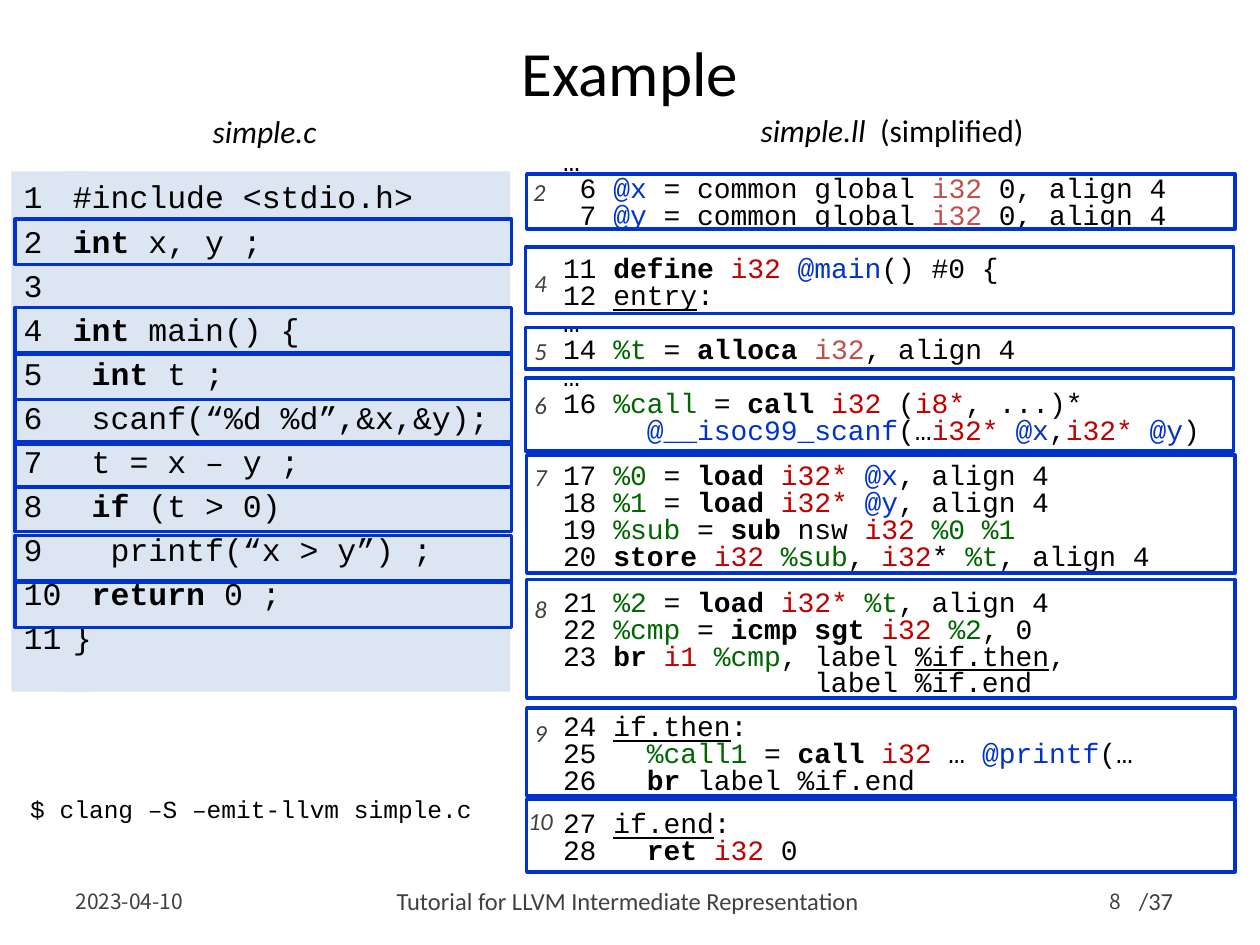
from pptx import Presentation
from pptx.dml import color
from pptx.enum import shapes, text
from pptx.util import Inches, Pt

SANS, MONO, DATE = "Calibri", "Courier New", "Noto Sans CJK KR"
BLACK, GREY, WHITE, PALE, BLUE = "000000", "404040", "FFFFFF", "DCE6F2", "0033CC"
ALIGN = {"l": text.PP_ALIGN.LEFT, "c": text.PP_ALIGN.CENTER, "r": text.PP_ALIGN.RIGHT}

# Marks: |b...| bold, |u...| underlined, |i...| italic, other letters a colour
HUES = {"r": "C00000", "o": "C0504D", "n": BLUE, "g": "006600"}

C_CODE = [
    "#include <stdio.h>",
    "|bint| x, y ;",
    "|bint| main() {",
    "|b int| t ;",
    " scanf(“%d %d”,&x,&y);",
    " t = x – y ;",
    " |bif| (t > 0)",
    "  printf(“x > y”) ;",
    " |breturn| 0 ;",
    "}",
]
C_GAPS = {2: 28.7}  # line 3 of the program is empty

IR_CODE = [
    "…",
    " 6 |n@x| = common global |oi32| 0, align 4",
    " 7 |n@y| = common global |oi32| 0, align 4",
    "11 |bdefine ||ri32 ||n@main|() #0 {",
    "12 |uentry|:",
    "…",
    "14 |g%t| = |balloca ||oi32|, align 4",
    "…",
    "16 |g%call| = |bcall ||ri32| (|ri8*|, ...)*",
    "     |n@__isoc99_scanf|(…|ri32* ||n@x|,|ri32* ||n@y|)",
    "17 |g%0| = |bload ||ri32* ||n@x|, align 4",
    "18| g%1| = |bload ||ri32* ||n@y|, align 4".replace("| g", " |g"),
    "19 |g%sub| = |bsub |nsw |ri32||g %0 %1|",
    "20 |bstore ||ri32 ||g%sub|, |ri32|* |g%t|, align 4",
    "21 |g%2| = |bload ||ri32* ||g%t|, align 4",
    "22 |g%cmp| = |bicmp sgt ||ri32 ||g%2|, 0",
    "23 |bbr ||ri1 ||g%cmp|, label |u%if.then|,",
    "               label |u%if.end|",
    "24 |uif.then|:",
    "25   |g%call1| = |bcall ||ri32| … |n@printf|(…",
    "26   |bbr| label |u%if.end|",
    "27 |uif.end|:",
    "28   |bret ||ri32| 0",
]
IR_GAPS = {3: 15.3, 10: 10.8, 14: 10.8, 18: 9.5, 21: 9.5}

C_TOPS = [1.74, 2.44, 2.81, 3.17, 3.51, 3.86, 4.25, 4.62]
# C line, frame left, top, height, label left, label top
IR_PARTS = [
    ("2", 4.18, 1.38, 0.44, 4.13, 1.42),
    ("4", 4.17, 1.96, 0.53, 4.14, 2.14),
    ("5", 4.17, 2.6, 0.33, 4.14, 2.68),
    ("6", 4.17, 3, 0.58, 4.14, 3.11),
    ("7", 4.18, 3.61, 0.94, 4.14, 3.68),
    ("8", 4.18, 4.6, 0.94, 4.14, 4.73),
    ("9", 4.18, 5.62, 0.7, 4.14, 5.71),
    ("10", 4.18, 6.34, 0.58, 4.14, 6.41),
]


def rgb(value):
    return color.RGBColor.from_string(value)


def add_rect(slide, box, fill=None, line=None):
    rect = slide.shapes.add_shape(shapes.MSO_SHAPE.RECTANGLE, *map(Inches, box))
    rect.shadow.inherit = False
    if fill:
        rect.fill.solid()
        rect.fill.fore_color.rgb = rgb(fill)
    else:
        rect.fill.background()
    if line:
        rect.line.color.rgb = rgb(line)
        rect.line.width = Pt(2)
    else:
        rect.line.fill.background()
    return rect


def add_runs(para, line, size, font, hue):
    """Split a line at its marks and add one run for each piece."""
    for n, part in enumerate(line.split("|")):
        mark, part = (part[0], part[1:]) if n % 2 else ("", part)
        if not part:
            continue
        run = para.add_run()
        run.text = part
        face = run.font
        face.name, face.size = font, Pt(size)
        face.color.rgb = rgb(HUES.get(mark, hue))
        face.bold = mark == "b"
        face.italic = mark == "i"
        face.underline = mark == "u"


def add_text(slide, box, lines, size=14, font=SANS, hue=BLACK, align="l",
             mid=False, fill=None, gap=0, gaps={}, lead=None, side=0.1):
    """Write lines in a box; gaps gives the space before single lines."""
    if fill:
        shape = add_rect(slide, box, fill)
    else:
        shape = slide.shapes.add_textbox(*map(Inches, box))
    frame = shape.text_frame
    frame.word_wrap = True
    frame.margin_left = frame.margin_right = Inches(side)
    frame.vertical_anchor = text.MSO_ANCHOR.MIDDLE if mid else text.MSO_ANCHOR.TOP
    for n, line in enumerate(lines):
        para = frame.add_paragraph() if n else frame.paragraphs[0]
        para.alignment = ALIGN[align]
        if n:
            para.space_before = Pt(gaps.get(n, gap))
        if lead:
            para.line_spacing = lead
        add_runs(para, line, size, font, hue)


def add_source(slide, left, top, high):
    """C program with its line numbers."""
    look = dict(size=18, font=MONO, fill=PALE, gap=3.6)
    nums = [str(n) for n in range(1, 12)]
    add_text(slide, (left, top, 0.63, high), nums, **look)
    add_text(slide, (left + 0.39, top, 3.57, high), C_CODE, gaps=C_GAPS, **look)
    for y in C_TOPS:
        add_rect(slide, (left + 0.03, y, 3.94, 0.36), line=BLUE)


def add_ir(slide, box):
    """IR listing, framed and labelled by C line."""
    add_text(slide, box, IR_CODE, size=16, font=MONO, gaps=IR_GAPS, lead=0.8)
    for num, x, y, high, tag_x, tag_y in IR_PARTS:
        add_text(slide, (tag_x, tag_y, 0.3, 0.21), [f"|i{num}|"], hue=GREY,
                 align="c", mid=True, fill=WHITE, side=0 if len(num) > 1 else 0.1)
    for num, x, y, high, tag_x, tag_y in IR_PARTS:
        add_rect(slide, (x, y, 5.62, high), line=BLUE)


def add_heads(slide):
    add_text(slide, (0.5, 0.29, 9, 0.55), ["Example"], size=36, align="c", mid=True)
    add_text(slide, (0.09, 0.84, 4.02, 0.4), ["|isimple.c|"], size=18, align="c")
    add_text(slide, (5.07, 0.83, 4.02, 0.4), ["|isimple.ll  |(simplified)"],
             size=18, align="c")


def add_foot(slide, top):
    small = dict(size=12, font=DATE, hue=GREY, mid=True)
    add_text(slide, (0.5, top, 1.11, 0.4), ["2023-04-10"], **small)
    add_text(slide, (1.61, top, 6.79, 0.4),
             ["Tutorial for LLVM Intermediate Representation "],
             hue=GREY, align="c", mid=True)
    add_text(slide, (8.54, top, 0.46, 0.4), ["8"], align="r", **small)
    add_text(slide, (8.94, top + 0.03, 0.83, 0.34), ["/37"], hue=GREY)


def main():
    deck = Presentation()
    deck.slide_width, deck.slide_height = Inches(10), Inches(7.5)
    slide = deck.slides.add_slide(deck.slide_layouts[6])
    add_heads(slide)
    add_source(slide, 0.09, 1.36, 4.13)
    add_text(slide, (0.09, 6.25, 3.81, 0.34), ["$ clang –S –emit-llvm simple.c"],
             font=MONO, align="c", fill=WHITE)
    add_ir(slide, (4.37, 1.14, 5.35, 6))
    add_foot(slide, 6.95)
    deck.save("out.pptx")


if __name__ == "__main__":
    main()
